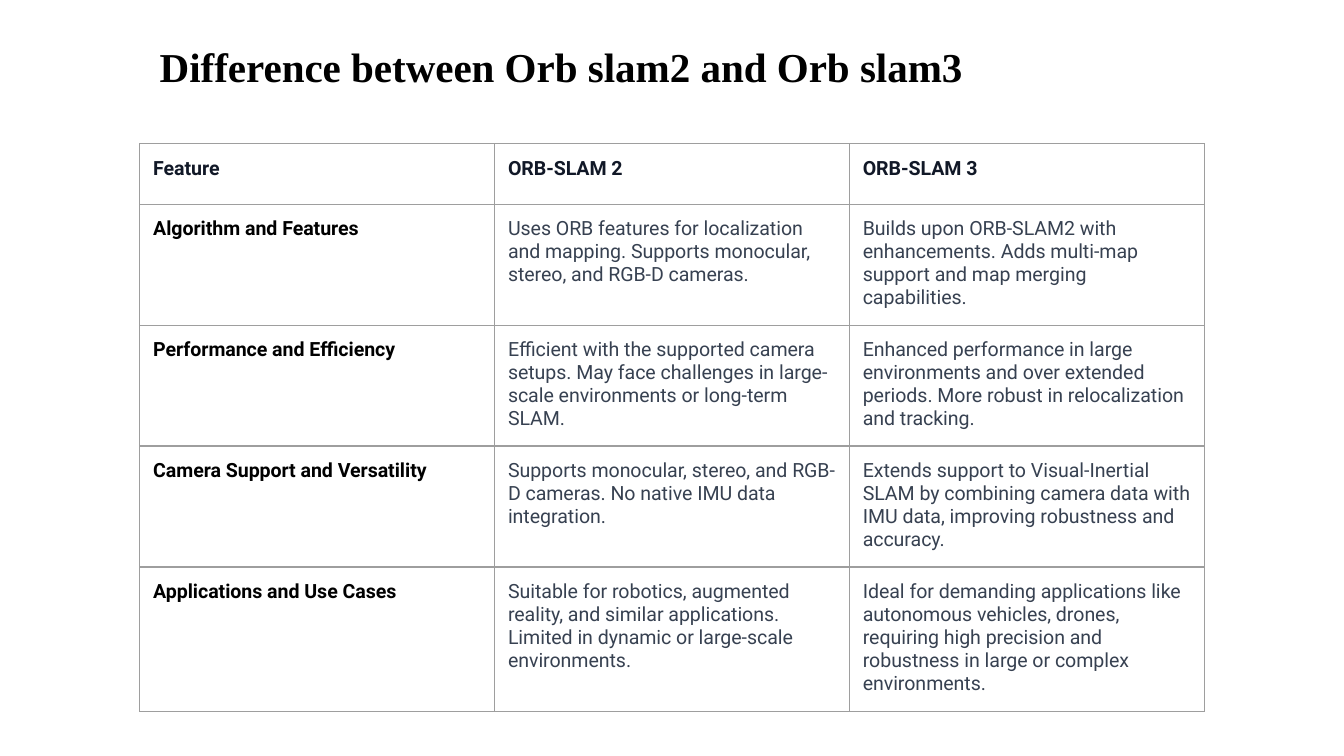
from lxml import etree
from pptx import Presentation
from pptx.dml.color import RGBColor
from pptx.enum.text import MSO_ANCHOR
from pptx.oxml.ns import qn
from pptx.util import Inches, Pt

TOP = MSO_ANCHOR.TOP
BLANK_LAYOUT = 6
PAGE_WIDTH = 10
PAGE_HEIGHT = PAGE_WIDTH * 9 / 16
INSET = 0.1

# Table grid, in inches
TABLE_LEFT, TABLE_TOP = 1.04, 1.07
COLUMN_WIDTH = 2.64
HEADER_HEIGHT, ROW_HEIGHT = 0.45, 0.87

HEADER_COLOR, LABEL_COLOR, BODY_COLOR = "111827", "000000", "374151"
BORDER_COLOR, BORDER_WIDTH = "9E9E9E", 0.75

COMPARISON = [
    ("Feature", "ORB-SLAM 2", "ORB-SLAM 3"),
    ("Algorithm and Features",
     "Uses ORB features for localization and mapping. Supports monocular, "
     "stereo, and RGB-D cameras.",
     "Builds upon ORB-SLAM2 with enhancements. Adds multi-map support and "
     "map merging capabilities."),
    ("Performance and Efficiency",
     "Efficient with the supported camera setups. May face challenges in "
     "large-scale environments or long-term SLAM.",
     "Enhanced performance in large environments and over extended periods. "
     "More robust in relocalization and tracking."),
    ("Camera Support and Versatility",
     "Supports monocular, stereo, and RGB-D cameras. No native IMU data "
     "integration.",
     "Extends support to Visual-Inertial SLAM by combining camera data with "
     "IMU data, improving robustness and accuracy."),
    ("Applications and Use Cases",
     "Suitable for robotics, augmented reality, and similar applications. "
     "Limited in dynamic or large-scale environments.",
     "Ideal for demanding applications like autonomous vehicles, drones, "
     "requiring high precision and robustness in large or complex "
     "environments."),
]


def rgb(hex_color):
    return RGBColor.from_string(hex_color)


def write_text(holder, para, text, *, font="Roboto", size=10.5,
               color=BODY_COLOR, bold=False):
    """Write one formatted run; holder is the text frame or cell with the insets."""
    holder.vertical_anchor = TOP
    holder.margin_left = holder.margin_right = Inches(INSET)
    holder.margin_top = holder.margin_bottom = Inches(INSET)
    span = para.add_run()
    span.text = text
    span.font.name = font
    span.font.size = Pt(size)
    span.font.bold = bold
    span.font.color.rgb = rgb(color)


def add_borders(cell):
    """Draw a thin solid line on all four sides of a cell."""
    properties = cell._tc.get_or_add_tcPr()
    for position, side in enumerate(("lnL", "lnR", "lnT", "lnB")):
        line = etree.Element(qn(f"a:{side}"), w=str(Pt(BORDER_WIDTH)),
                             cap="flat", cmpd="sng")
        fill = etree.SubElement(line, qn("a:solidFill"))
        etree.SubElement(fill, qn("a:srgbClr"), val=BORDER_COLOR)
        etree.SubElement(line, qn("a:prstDash"), val="solid")
        properties.insert(position, line)


def add_title(page, text):
    box = page.shapes.add_textbox(Inches(1.09), Inches(0.21), Inches(9.32), Inches(0.55))
    frame = box.text_frame
    frame.word_wrap = True
    write_text(frame, frame.paragraphs[0], text, font="Times New Roman",
               size=22, color="000000", bold=True)


def cell_format(row, column):
    if row == 0:
        return {"color": HEADER_COLOR, "bold": True}
    if column == 0:
        return {"color": LABEL_COLOR, "bold": True}
    return {}


def add_comparison(page, rows):
    row_count, column_count = len(rows), len(rows[0])
    height = HEADER_HEIGHT + ROW_HEIGHT * (row_count - 1)
    table = page.shapes.add_table(
        row_count, column_count, Inches(TABLE_LEFT), Inches(TABLE_TOP),
        Inches(COLUMN_WIDTH * column_count), Inches(height)).table
    table.horz_banding = False
    table.first_row = False
    for column in table.columns:
        column.width = Inches(COLUMN_WIDTH)
    for row, texts in enumerate(rows):
        table.rows[row].height = Inches(ROW_HEIGHT if row else HEADER_HEIGHT)
        for column, text in enumerate(texts):
            cell = table.cell(row, column)
            cell.fill.background()
            add_borders(cell)
            write_text(cell, cell.text_frame.paragraphs[0], text,
                       **cell_format(row, column))


def main():
    deck = Presentation()
    deck.slide_width, deck.slide_height = Inches(PAGE_WIDTH), Inches(PAGE_HEIGHT)
    page = deck.slides.add_slide(deck.slide_layouts[BLANK_LAYOUT])

    # Heading
    add_title(page, "Difference between Orb slam2 and Orb slam3")

    # Feature comparison
    add_comparison(page, COMPARISON)

    deck.save("out.pptx")


if __name__ == "__main__":
    main()
